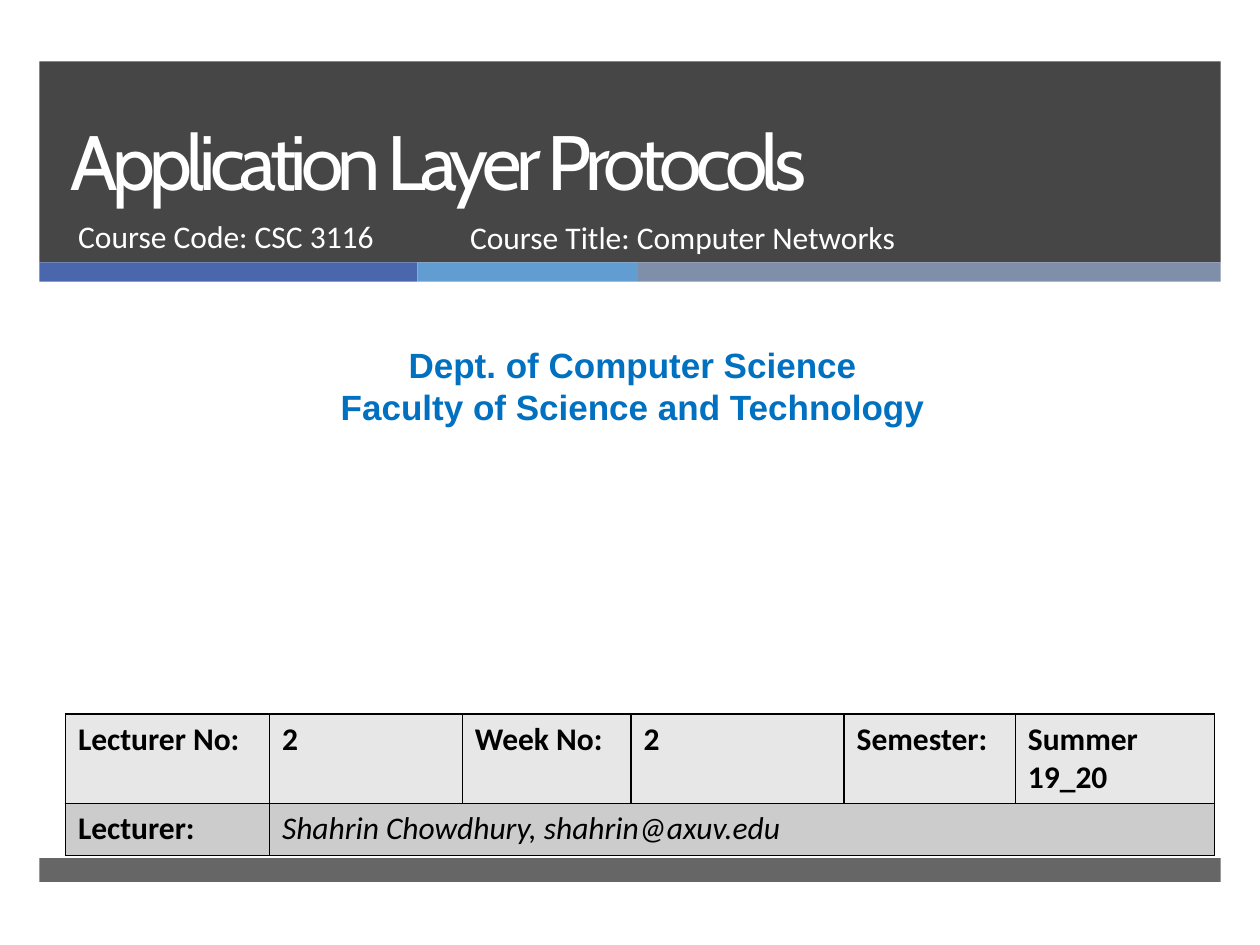
"""Build the opening slide of a lecture on application layer protocols."""
import lxml.etree
import pptx
import pptx.dml.color
import pptx.enum.shapes
import pptx.enum.text
import pptx.oxml.ns
import pptx.util

Pt = pptx.util.Pt
COLORS = {
    "dark": "262626", "indigo": "4A66AC", "sky": "629DD1", "slate": "7F8FA9",
    "white": "FFFFFF", "black": "000000", "department": "0070C0",
    "light row": "E7E7E7", "dark row": "CCCCCC",
}
ALIGN = pptx.enum.text.PP_ALIGN
ANCHOR = pptx.enum.text.MSO_ANCHOR


def rgb(name):
    return pptx.dml.color.RGBColor.from_string(COLORS[name])


def add_element(parent, tag, **attributes):
    return lxml.etree.SubElement(parent, pptx.oxml.ns.qn(tag), **attributes)


def add_bar(slide, box, color, opacity=100):
    shape = slide.shapes.add_shape(
        pptx.enum.shapes.MSO_SHAPE.RECTANGLE, *map(Pt, box))
    shape.shadow.inherit = False
    shape.line.fill.background()
    shape.fill.solid()
    shape.fill.fore_color.rgb = rgb(color)
    if opacity < 100:
        fill_color = shape.fill._xPr.solidFill[0]
        add_element(fill_color, "a:alpha", val=str(opacity * 1000))


def place(shape, box):
    shape.left, shape.top, shape.width, shape.height = map(Pt, box)


def write(frame, lines, font, size, color, align=ALIGN.LEFT, anchor=ANCHOR.TOP,
          bold=False, italic=False):
    frame.word_wrap = True
    frame.auto_size = pptx.enum.text.MSO_AUTO_SIZE.NONE
    frame.vertical_anchor = anchor
    write_lines(frame, lines, font, size, color, align, bold, italic)


def write_lines(frame, lines, font, size, color, align=ALIGN.LEFT,
                bold=False, italic=False):
    for index, line in enumerate(lines):
        paragraph = frame.add_paragraph() if index else frame.paragraphs[0]
        paragraph.alignment = align
        paragraph.space_before = Pt(0)
        run = paragraph.add_run()
        run.text = line
        run.font.name = font
        run.font.size = Pt(size)
        run.font.bold = bold
        run.font.italic = italic
        run.font.color.rgb = rgb(color)


def add_header(slide, box):
    left, top, width, height = box
    stripe_height = 11
    band_height = height - stripe_height
    add_bar(slide, (left, top, width, band_height), "dark", 85)

    stripe_left = left
    for color, share in (("indigo", 0.32), ("sky", 0.187), ("slate", 0.493)):
        add_bar(slide, (stripe_left, top + band_height, width * share,
                        stripe_height), color)
        stripe_left += width * share

    title = slide.shapes.title
    place(title, (left + 10.5, top, 615, 86))
    write(title.text_frame, ["Application Layer Protocols"], "Cabin", 44,
          "white", anchor=ANCHOR.BOTTOM)
    paragraph = title.text_frame.paragraphs[0]
    paragraph.line_spacing = Pt(46)
    paragraph.runs[0].font._element.set("spc", "-320")

    course_code = slide.placeholders[1]
    place(course_code, (left + 15, top + 85.5, 220, 38))
    course_title = slide.shapes.add_textbox(
        *map(Pt, (left + 239, top + 86, 328, 38)))
    for shape, text in ((course_code, "Course Code: CSC 3116"),
                        (course_title, "Course Title: Computer Networks")):
        write(shape.text_frame, [text], "Calibri", 18, "white")


def add_department(slide, box):
    shape = slide.shapes.add_textbox(*map(Pt, box))
    write(shape.text_frame,
          ["Dept. of Computer Science", "Faculty of Science and Technology"],
          "Arial", 20, "department", ALIGN.CENTER, bold=True)


def format_cell(cell, color):
    properties = cell._tc.get_or_add_tcPr()
    for side in ("L", "R", "T", "B"):
        line = add_element(properties, "a:ln" + side, w=str(Pt(1)))
        fill = add_element(line, "a:solidFill")
        add_element(fill, "a:srgbClr", val=COLORS["black"])
    cell.fill.solid()
    cell.fill.fore_color.rgb = rgb(color)


def add_lecture_table(slide, box):
    rows = (
        ("Lecturer No:", "2", "Week No:", "2", "Semester:", "Summer 19_20"),
        ("Lecturer:", "Shahrin Chowdhury, shahrin@axuv.edu"),
    )
    table = slide.shapes.add_table(2, 6, *map(Pt, box)).table
    for column, width in zip(table.columns, (116.6, 110.2, 96.5, 121.7, 97.9, 113.8)):
        column.width = Pt(width)
    for row, height in zip(table.rows, (50.6, 29.6)):
        row.height = Pt(height)
    for row, color in zip(table.rows, ("light row", "dark row")):
        for cell in row.cells:
            format_cell(cell, color)
    table.cell(1, 1).merge(table.cell(1, 5))
    for row_index, texts in enumerate(rows):
        for column_index, text in enumerate(texts):
            is_name = (row_index, column_index) == (1, 1)
            write_lines(table.cell(row_index, column_index).text_frame, [text],
                        "Calibri", 18, "black", bold=not is_name,
                        italic=is_name)


def main():
    presentation = pptx.Presentation()
    presentation.slide_width = Pt(720)
    presentation.slide_height = Pt(540)
    slide = presentation.slides.add_slide(presentation.slide_layouts[0])
    tree = slide.shapes._spTree
    placeholders = [shape._element for shape in slide.placeholders]
    add_header(slide, (22.5, 35, 675, 126))
    add_bar(slide, (22.5, 490.3, 675, 13.7), "dark", 70)
    for element in placeholders:
        tree.append(element)
    add_department(slide, (6, 193, 711, 55.5))
    add_lecture_table(slide, (37.4, 408, 656.7, 80.2))
    presentation.save("out.pptx")


main()
